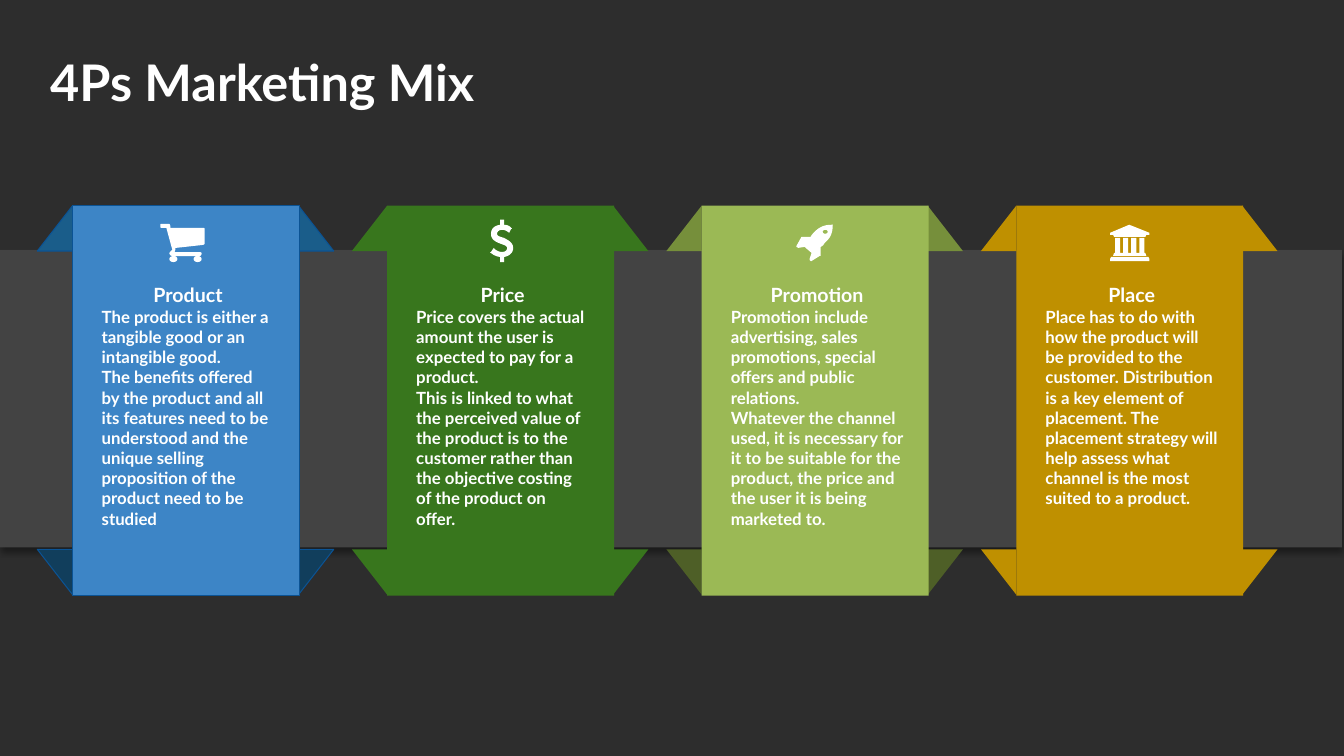
from dataclasses import dataclass
from math import cos, sin, tau

from lxml import etree
from pptx import Presentation
from pptx.dml.color import RGBColor
from pptx.enum.shapes import MSO_SHAPE as Geo
from pptx.enum.text import MSO_ANCHOR as Anchor, PP_ALIGN as Align
from pptx.oxml.ns import qn
from pptx.util import Inches, Pt


@dataclass(frozen=True)
class Theme:
    font: str = "Lato"
    back: str = "2D2D2D"
    band: str = "434343"
    ink: str = "FFFFFF"
    title: int = 36
    head: int = 14
    body: int = 12


THEME = Theme()
WIDE, HIGH = 13.33, 7.5
START, PITCH = 0.72, 3.12          # first card and step between cards
TOP, CARD_W, CARD_H = 2.04, 2.25, 3.87
FOLD_W, FOLD_H = 0.35, 0.45


def ring(x, y, rx, ry):
    return [(x + rx * cos(tau * i / 16), y + ry * sin(tau * i / 16))
            for i in range(16)]


def bar(x, y, w, h):
    return [(x, y), (x + w, y), (x + w, y + h), (x, y + h)]


# Icon outlines in hundredths of an inch from the card's corner:
# two numbers make a line, six make a Bezier curve.
CART = [
    [(131, 38), (131, 38, 130, 39, 129, 39), (102, 42),
     (102, 43, 102, 45, 101, 46), (126, 46), (127, 46, 128, 47, 128, 47),
     (128, 49, 127, 50, 126, 50), (99, 50), (98, 50, 96, 49, 96, 47),
     (96, 47, 98, 44, 99, 44), (93, 22), (88, 22),
     (87, 22, 87, 21, 87, 20), (87, 19, 87, 18, 88, 18), (95, 18),
     (97, 18, 97, 20, 97, 22), (129, 22), (130, 22, 131, 22, 131, 23)],
    ring(100, 53, 4, 3), ring(124, 53, 4, 3)]
DOLLAR = [
    [(116, 51), (116, 56), (112, 56), (112, 51), (106, 50, 103, 47, 103, 47),
     (102, 47, 102, 46, 103, 46), (105, 43), (105, 43, 106, 42, 106, 42),
     (106, 43, 110, 46, 114, 46), (116, 46, 119, 45, 119, 42),
     (119, 40, 116, 39, 113, 38), (108, 36, 103, 34, 103, 28),
     (103, 23, 106, 20, 112, 19), (112, 14), (116, 14), (116, 19),
     (121, 19, 123, 22, 123, 22), (124, 23, 124, 23, 123, 23), (121, 27),
     (121, 27, 118, 24, 114, 24), (111, 24, 109, 26, 109, 28),
     (109, 30, 112, 31, 116, 32), (119, 34, 125, 36, 125, 42),
     (125, 47, 121, 50, 116, 51)]]
ROCKET = [
    [(122, 37), (121, 39, 120, 40, 118, 41), (118, 50), (117, 50), (109, 55),
     (108, 55), (107, 54), (107, 53), (109, 47), (102, 41), (96, 42),
     (94, 41), (94, 40), (99, 31), (108, 31), (109, 29, 111, 27, 112, 26),
     (117, 21, 122, 19, 129, 19), (130, 19), (130, 27, 128, 32, 122, 37)],
    ring(122.5, 26, 2.5, 2)]
BANK = [
    [(132, 27), (132, 29), (129, 29), (128, 31), (97, 31), (96, 29),
     (93, 29), (93, 27), (112, 19)],
    [(132, 53), (132, 55), (93, 55), (93, 53), (94, 51), (131, 51)],
    [(97, 47), (128, 47), (129, 50), (96, 50)],
    *[bar(98 + 8 * i, 32, 5, 15) for i in range(4)]]

# heading, body, icon, (card, upper fold, lower fold, edge)
CARDS = [
    ("Product",
     ["The product is either a tangible good or an intangible good.",
      "The benefits offered by the product and all its features need to be "
      "understood and the unique selling proposition of the product need to "
      "be studied"],
     CART, ("3D85C6", "1A5D8A", "113E5C", "0B5394")),
    ("Price",
     ["Price covers the actual amount the user is expected to pay for a "
      "product.",
      "This is linked to what the perceived value of the product is to the "
      "customer rather than the objective costing of the product on offer."],
     DOLLAR, ("38761D", "38761D", "38761D", None)),
    ("Promotion",
     ["Promotion include advertising, sales promotions, special offers and "
      "public relations.",
      "Whatever the channel used, it is necessary for it to be suitable for "
      "the product, the price and the user it is being marketed to."],
     ROCKET, ("9BB955", "768F3B", "4E5F27", None)),
    ("Place",
     ["Place has to do with how the product will be provided to the "
      "customer. Distribution is a key element of placement. The placement "
      "strategy will help assess what channel is the most suited to a "
      "product."],
     BANK, ("BF9000", "BF9000", "BF9000", None)),
]


def paint(shape, fill, edge=None):
    shape.shadow.inherit = False
    shape.fill.solid()
    shape.fill.fore_color.rgb = RGBColor.from_string(fill)
    if edge:
        shape.line.color.rgb = RGBColor.from_string(edge)
        shape.line.width = Pt(0.75)
    else:
        shape.line.fill.background()
    return shape


def block(slide, geo, box, fill, edge=None):
    return paint(slide.shapes.add_shape(geo, *map(Inches, box)), fill, edge)


def write(slide, box, rows, pad=0.1, anchor=Anchor.TOP, space=None):
    """Add a text box; each row is (text, size, alignment)."""
    frame = slide.shapes.add_textbox(*map(Inches, box)).text_frame
    frame.word_wrap, frame.vertical_anchor = True, anchor
    frame.margin_left = frame.margin_right = Inches(0.1)
    frame.margin_top = frame.margin_bottom = Inches(pad)
    for i, (text, size, align) in enumerate(rows):
        para = frame.add_paragraph() if i else frame.paragraphs[0]
        para.alignment, para.line_spacing = align, space
        run = para.add_run()
        run.text = text
        font = run.font
        font.name, font.size, font.bold = THEME.font, Pt(size), True
        font.color.rgb = RGBColor.from_string(THEME.ink)


def trace(steps):
    """Turn lines and curves into a list of points."""
    pts = []
    for step in steps:
        if len(step) == 2:
            pts.append(step)
            continue
        ax, ay = pts[-1]
        bx, by, cx, cy, dx, dy = step
        for t in (i / 8 for i in range(1, 9)):
            u = 1 - t
            k = u ** 3, 3 * u * u * t, 3 * u * t * t, t ** 3
            pts.append((sum(m * v for m, v in zip(k, (ax, bx, cx, dx))),
                        sum(m * v for m, v in zip(k, (ay, by, cy, dy)))))
    return pts


def icon(slide, left, top, parts):
    pen = None
    for part in parts:
        pts = [(Inches(left + x / 100), Inches(top + y / 100))
               for x, y in trace(part)]
        if pen is None:
            pen = slide.shapes.build_freeform(*pts[0])
        else:
            pen.move_to(*pts[0])
        pen.add_line_segments(pts[1:], close=True)
    paint(pen.convert_to_shape(), THEME.ink)


def band(slide, box):
    shape = block(slide, Geo.RECTANGLE, box, THEME.band)
    glow = etree.SubElement(
        shape._element.spPr.find(qn("a:effectLst")), qn("a:outerShdw"),
        blurRad=str(Pt(4)), dist=str(Pt(3)), dir="5400000", rotWithShape="0")
    tint = etree.SubElement(glow, qn("a:srgbClr"), val="000000")
    etree.SubElement(tint, qn("a:alpha"), val="40000")


def folds(slide, box, upper, lower, edge):
    left, top, wide, high = box
    for low in (False, True):
        for right in (False, True):
            x = left + wide - 0.01 if right else left - FOLD_W
            y = top + high - FOLD_H - 0.01 if low else top
            shape = block(slide, Geo.RIGHT_TRIANGLE, (x, y, FOLD_W, FOLD_H),
                          lower if low else upper, edge)
            shape.rotation = 180 if low else 0
            if right == low:
                shape._element.spPr.find(qn("a:xfrm")).set("flipH", "1")


def card(slide, box, head, body, parts, tones):
    left, top, wide, high = box
    fill, upper, lower, edge = tones
    folds(slide, box, upper, lower, edge)
    block(slide, Geo.RECTANGLE, box, fill, edge)
    rows = [(head, THEME.head, Align.CENTER)]
    rows += [(text, THEME.body, Align.LEFT) for text in body]
    write(slide, (left + 0.19, top + 0.67, wide - 0.34, high - 1.2), rows)
    icon(slide, left, top, parts)


def main():
    deck = Presentation()
    deck.slide_width, deck.slide_height = Inches(WIDE), Inches(HIGH)
    slide = deck.slides.add_slide(deck.slide_layouts[6])
    back = slide.background.fill
    back.solid()
    back.fore_color.rgb = RGBColor.from_string(THEME.back)
    write(slide, (0.4, 0.14, 6.03, 1.02),
          [("4Ps Marketing Mix", THEME.title, Align.LEFT)],
          pad=0.05, anchor=Anchor.BOTTOM, space=0.9)
    band(slide, (0, TOP + FOLD_H - 0.01, WIDE - 0.02, 2.95))
    for i, parts in enumerate(CARDS):
        card(slide, (START + i * PITCH, TOP, CARD_W, CARD_H), *parts)
    deck.save("out.pptx")


if __name__ == "__main__":
    main()
